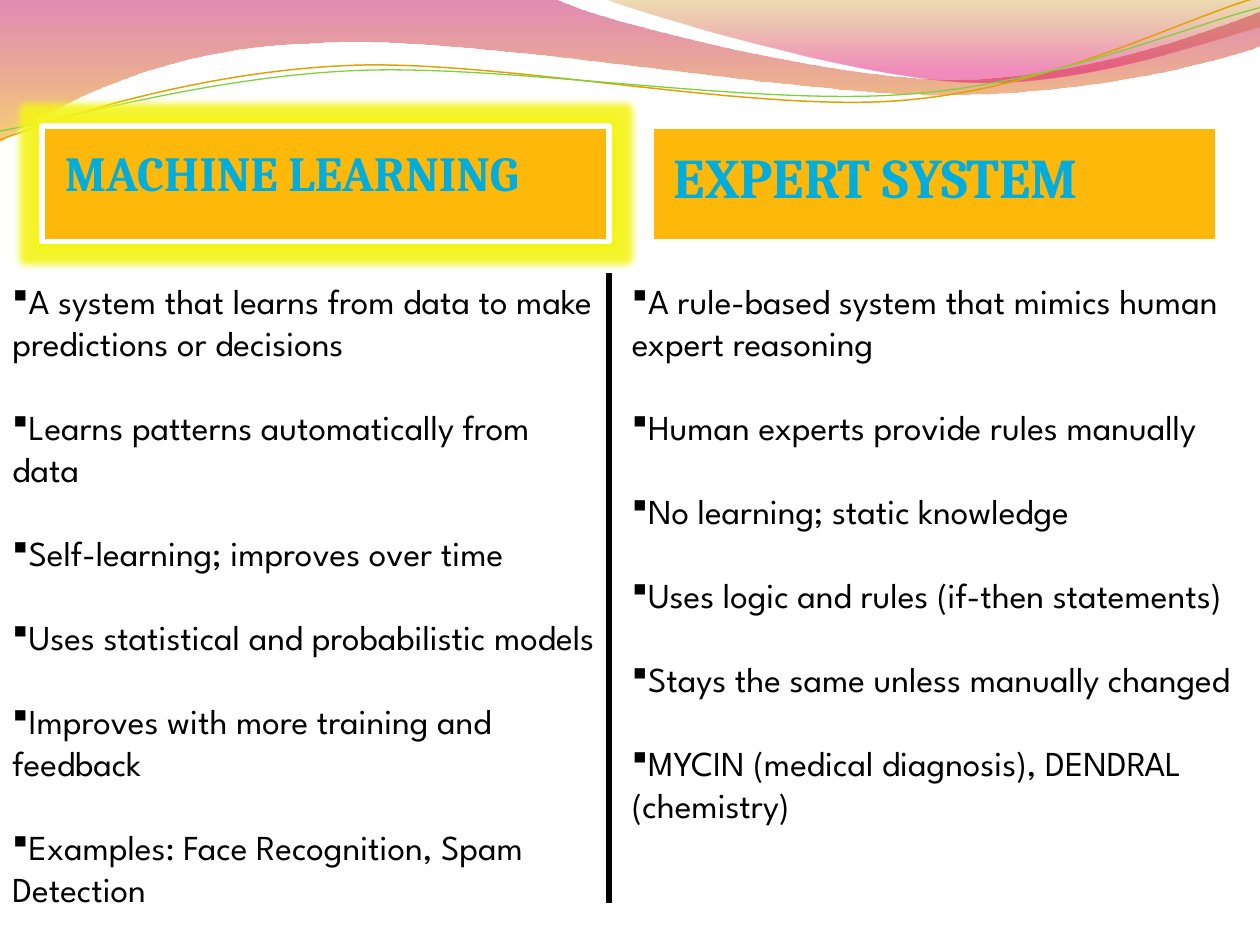
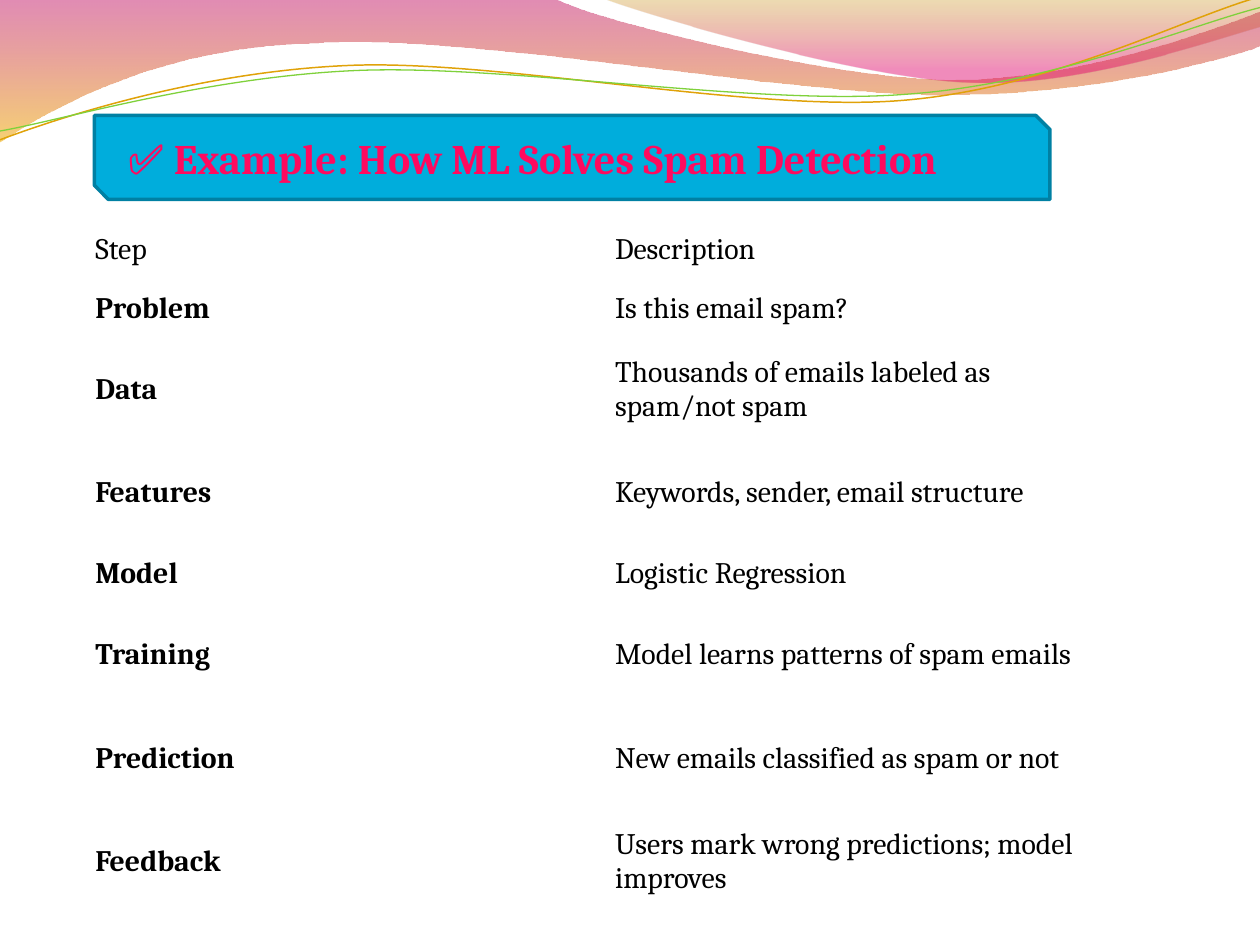
from lxml import etree
from pptx import Presentation
from pptx.dml.color import RGBColor
from pptx.enum.shapes import MSO_CONNECTOR, MSO_SHAPE
from pptx.enum.text import MSO_ANCHOR
from pptx.oxml.ns import qn
from pptx.util import Inches, Pt

RECTANGLE = MSO_SHAPE.RECTANGLE
SNIPPED_RECTANGLE = MSO_SHAPE.SNIP_2_DIAG_RECTANGLE
STRAIGHT = MSO_CONNECTOR.STRAIGHT
MIDDLE = MSO_ANCHOR.MIDDLE

# The slide is a grid of 120 columns and 90 rows.
UNIT = Inches(10) // 120

HEADING_FONT = "Cambria"
BODY_FONT = "League Spartan"
BLACK, WHITE = "000000", "FFFFFF"
BLUE, DARK_BLUE = "00ADDC", "0080A3"
AMBER, PINK, YELLOW = "FEB80A", "FF0A5E", "F4F41A"
color = RGBColor.from_string

# Waves in inches: pairs are corners, sextuples are cubic curves.
BANDS = [
    ([(0, 0), (4.4, -0.01), (4.76, 0.17, 6.64, 0.63, 7.58, 0.63),
      (8.53, 0.63, 9.58, 0.26, 10, 0.09), (10.01, 0.36),
      (9.83, 0.44, 8.7, 0.76, 7.46, 0.75), (6.22, 0.75, 3.82, 0.28, 2.57, 0.34),
      (1.29, 0.36, 0.46, 0.83, -0.01, 1.13), (0, 0)],
     [(0, "BD0059", 45), (1, "F0AB00", 55)]),
    ([(4.79, -0.01), (5.09, 0.11, 6.82, 0.62, 7.69, 0.65),
      (8.56, 0.69, 9.61, 0.32, 10, 0.21), (10, 0), (4.79, -0.01)],
     [(0, "C38B00", 30), (0.8, "E1006B", 45)]),
]
THREADS = [
    ([(0, 1.11), (0.48, 0.93, 1.58, 0.57, 2.77, 0.52),
      (3.95, 0.47, 5.93, 0.89, 7.13, 0.8), (8.33, 0.71, 9.38, 0.15, 9.98, -0.02)],
     "E0A209", 0.85),
    ([(0, 1.04), (0.47, 0.96, 1.64, 0.61, 2.83, 0.56),
      (4.03, 0.51, 5.97, 0.84, 7.17, 0.75), (8.36, 0.67, 9.41, 0.21, 10, 0.06)],
     "7FD13B", 0.75),
]

# Heading, heading size, box column, heading column, list column, list width, points
COMPARISON = [
    ("MACHINE LEARNING", 28, 4, 5, 0, 58, [
        "A system that learns from data to make predictions or decisions",
        "Learns patterns automatically from data",
        "Self-learning; improves over time",
        "Uses statistical and probabilistic models",
        "Improves with more training and feedback",
        "Examples: Face Recognition, Spam Detection"]),
    ("EXPERT SYSTEM", 32, 62, 63, 59, 61, [
        "A rule-based system that mimics human expert reasoning",
        "Human experts provide rules manually",
        "No learning; static knowledge",
        "Uses logic and rules (if-then statements)",
        "Stays the same unless manually changed",
        "MYCIN (medical diagnosis), DENDRAL (chemistry)"]),
]

SHORT_ROW, TALL_ROW = 5.6, 9.84
STEPS = [
    ("Step", "Description", SHORT_ROW),
    ("Problem", "Is this email spam?", SHORT_ROW),
    ("Data", "Thousands of emails labeled as spam/not spam", TALL_ROW),
    ("Features", "Keywords, sender, email structure", TALL_ROW),
    ("Model", "Logistic Regression", SHORT_ROW),
    ("Training", "Model learns patterns of spam emails", TALL_ROW),
    ("Prediction", "New emails classified as spam or not", TALL_ROW),
    ("Feedback", "Users mark wrong predictions; model improves", TALL_ROW),
]


def add_wave(slide, steps, closed):
    """Draw straight segments through all points, then join triples into curves."""
    points = [(Inches(step[i]), Inches(step[i + 1]))
              for step in steps for i in range(0, len(step), 2)]
    builder = slide.shapes.build_freeform(*points[0])
    builder.add_line_segments(points[1:], close=closed)
    shape = builder.convert_to_shape()
    shape.shadow.inherit = False
    segments = iter(list(shape.element.spPr.iter(qn("a:lnTo"))))
    for step in steps[1:]:
        parts = [next(segments) for _ in range(len(step) // 2)]
        if len(parts) == 3:
            curve = etree.Element(qn("a:cubicBezTo"))
            parts[0].addprevious(curve)
            for part in parts:
                curve.append(part[0])
                part.getparent().remove(part)
    return shape


def add_text(slide, box, lines, font, size, hex_color, bold=False):
    """Place a text box; box is left, top, width, height in grid units."""
    text_frame = slide.shapes.add_textbox(*(n * UNIT for n in box)).text_frame
    text_frame.word_wrap = True
    text_frame.text = "\n".join(lines)
    for paragraph in text_frame.paragraphs:
        for run in paragraph.runs:
            run.font.name = font
            run.font.size = Pt(size)
            run.font.bold = bold
            run.font.color.rgb = color(hex_color)
    return text_frame


presentation = Presentation()
presentation.slide_width = 120 * UNIT
presentation.slide_height = 90 * UNIT
blank = presentation.slide_layouts[6]
for placeholder in list(blank.placeholders):
    blank.shapes.element.remove(placeholder.element)
comparison_slide = presentation.slides.add_slide(blank)
example_slide = presentation.slides.add_slide(blank)

# Wave decoration, moved to the layout so that both slides share it
decoration = []
for steps, stops in BANDS:
    band = add_wave(comparison_slide, steps, True)
    band.line.fill.background()
    band.fill.gradient()
    band.fill.gradient_angle = 270
    for stop, (position, hex_color, opacity) in zip(band.fill.gradient_stops, stops):
        stop.position = position
        stop.color.rgb = color(hex_color)
    for rgb, (_, _, opacity) in zip(band.element.spPr.iter(qn("a:srgbClr")), stops):
        etree.SubElement(rgb, qn("a:alpha"), val=str(opacity * 1000))
    decoration.append(band)
for steps, hex_color, width in THREADS:
    thread = add_wave(comparison_slide, steps, False)
    thread.fill.background()
    thread.line.color.rgb = color(hex_color)
    thread.line.width = Pt(width)
    decoration.append(thread)
for shape in decoration:
    blank.shapes.element.append(shape.element)

# Slide 1: two columns side by side
for heading, size, box_column, heading_column, list_column, list_width, points in COMPARISON:
    box = comparison_slide.shapes.add_shape(
        RECTANGLE, box_column * UNIT, 12 * UNIT, 54 * UNIT, 11 * UNIT)
    box.shadow.inherit = False
    box.fill.solid()
    box.fill.fore_color.rgb = color(AMBER)
    box.line.color.rgb = color(WHITE)
    box.line.width = Pt(3)
    if heading == "MACHINE LEARNING":
        effects = box.element.spPr.find(qn("a:effectLst"))
        glow = etree.SubElement(effects, qn("a:glow"), rad=str(Pt(8)))
        glow_color = etree.SubElement(glow, qn("a:srgbClr"), val=YELLOW)
        etree.SubElement(glow_color, qn("a:alpha"), val="90000")
    add_text(comparison_slide, (heading_column, 13, 53, 7), [heading],
             HEADING_FONT, size, BLUE, bold=True)
    bullets = add_text(comparison_slide, (list_column, 26, list_width, 62), points,
                       BODY_FONT, 20, BLACK)
    for paragraph in bullets.paragraphs:
        paragraph.space_after = Pt(24)
        properties = paragraph._p.get_or_add_pPr()
        properties.set("marL", "0")
        properties.set("indent", "0")
        # In Wingdings the section sign draws a small square.
        etree.SubElement(properties, qn("a:buFont"), typeface="Wingdings", charset="2")
        etree.SubElement(properties, qn("a:buChar"), char="§")

divider = comparison_slide.shapes.add_connector(
    STRAIGHT, 58 * UNIT, 26 * UNIT, 58 * UNIT, 86 * UNIT)
divider.line.color.rgb = color(BLACK)
divider.line.width = Pt(3)
etree.SubElement(divider.element.spPr, qn("a:effectLst"))

# Slide 2: steps of the spam example
table = example_slide.shapes.add_table(
    len(STEPS), 2, 8 * UNIT, 21 * UNIT, 99 * UNIT, 66 * UNIT).table
table.first_row = False
table.horz_banding = False
for row_index, (step, description, height) in enumerate(STEPS):
    table.rows[row_index].height = int(height * UNIT)
    for column_index, text in enumerate((step, description)):
        cell = table.cell(row_index, column_index)
        cell.fill.background()
        cell.vertical_anchor = MIDDLE
        cell.margin_left = cell.margin_right = Inches(0.09)
        cell.text_frame.text = text
        font = cell.text_frame.paragraphs[0].runs[0].font
        font.name = HEADING_FONT
        font.size = Pt(17)
        font.bold = row_index > 0 and column_index == 0
        font.color.rgb = color(BLACK)

banner = example_slide.shapes.add_shape(
    SNIPPED_RECTANGLE, 9 * UNIT, 11 * UNIT, 91 * UNIT, 8 * UNIT)
banner.shadow.inherit = False
banner.fill.solid()
banner.fill.fore_color.rgb = color(BLUE)
banner.line.color.rgb = color(DARK_BLUE)
banner.line.width = Pt(2)
add_text(example_slide, (11, 12, 88, 6), ["✅ Example: How ML Solves Spam Detection"],
         HEADING_FONT, 24, PINK, bold=True)

presentation.save("out.pptx")
